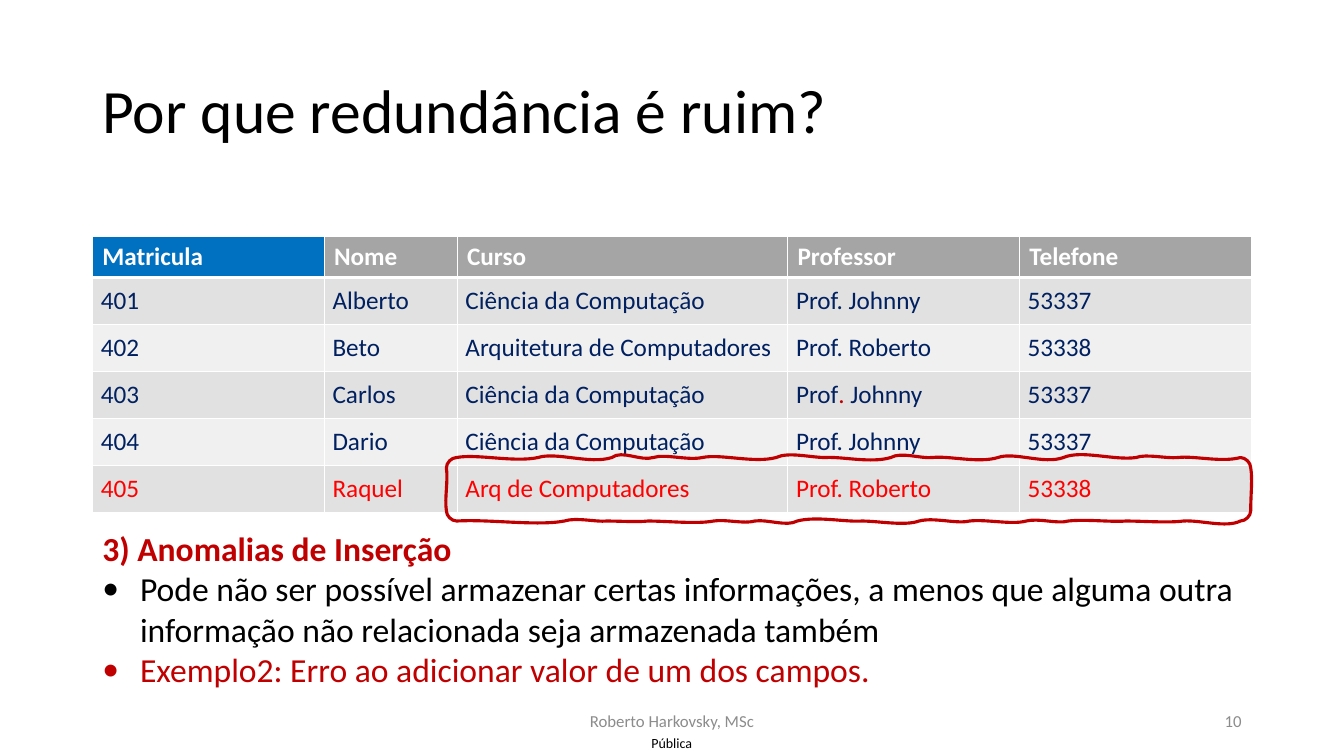
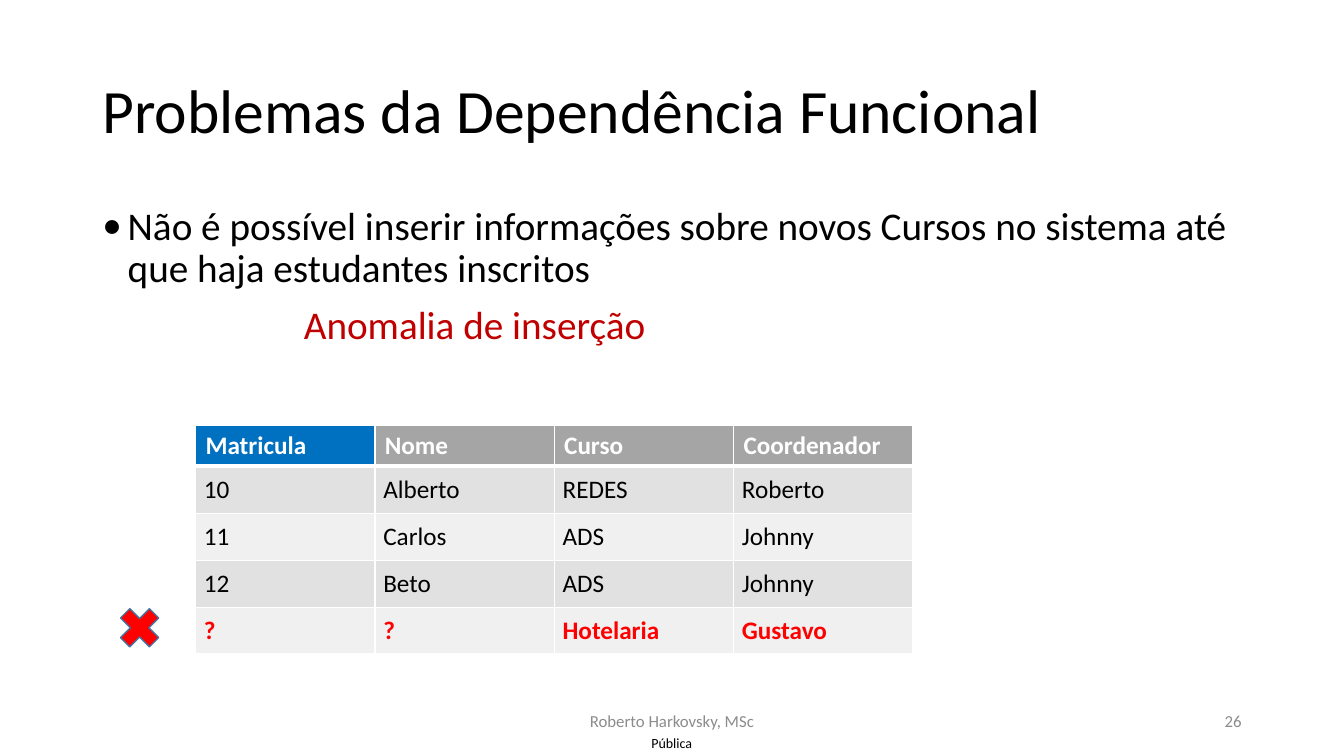
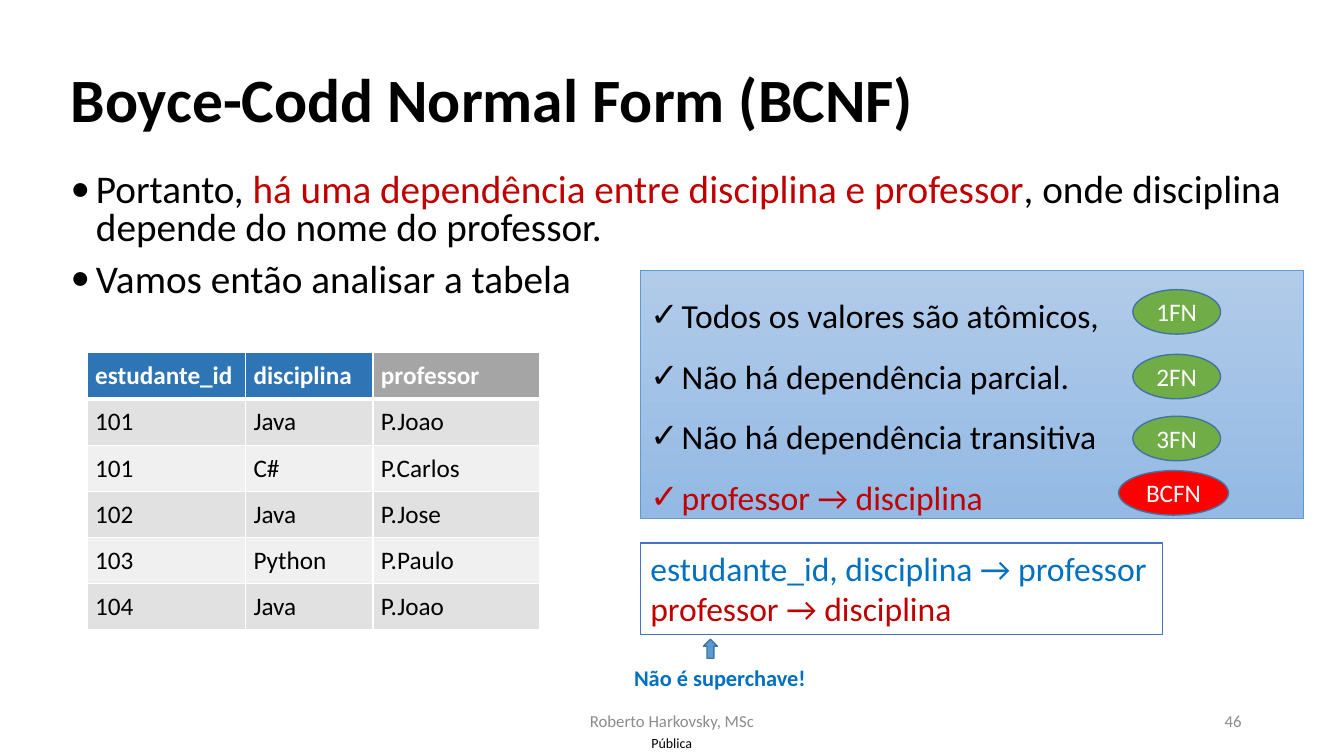
"""Three slides on redundancy, functional dependency and the Boyce-Codd normal form."""
from lxml.etree import SubElement
from pptx import Presentation
from pptx.dml.color import RGBColor
from pptx.enum.shapes import MSO_SHAPE as Preset
from pptx.enum.text import MSO_ANCHOR as Anchor, PP_ALIGN as Align
from pptx.oxml import parse_xml
from pptx.oxml.ns import nsdecls, qn
from pptx.util import Cm, Pt

FONT = "Calibri"
COLORS = {
    "black": "000000", "white": "FFFFFF", "grey": "8C8C8C", "navy": "002060",
    "crimson": "C00000", "red": "FF0000", "blue": "0070C0", "key": "2E75B6",
    "header": "A5A5A5", "odd": "E1E1E1", "even": "F0F0F0", "green": "70AD47",
    "arrow": "5B9BD5", "outline": "43739E", "frame": "4472C4",
    "sky_top": "B1CBE9", "sky_bottom": "93B9E4",
}
AUTHOR = "Roberto Harkovsky, MSc"
LABEL = "Pública"
ROW_HEIGHT = 1.03

STUDENTS = {
    "at": (2.33, 5.96), "height": 6.96, "color": "navy",
    "widths": (5.84, 3.35, 8.33, 5.84, 5.84),
    "header": ("Matricula", "Nome", "Curso", "Professor", "Telefone"),
    "keys": 1, "key_fill": "blue", "header_margins": (0.25, 0.13), "margin": 0.21,
    "rows": [
        ("401", "Alberto", "Ciência da Computação", "Prof. Johnny", "53337"),
        ("402", "Beto", "Arquitetura de Computadores", "Prof. Roberto", "53338"),
        ("403", "Carlos", "Ciência da Computação",
         [("Prof", "navy"), (". ", "crimson"), ("Johnny", "navy")], "53337"),
        ("404", "Dario", "Ciência da Computação", "Prof. Johnny", "53337"),
        ("405", "Raquel", "Arq de Computadores", "Prof. Roberto", "53338"),
    ],
    "last": ("red", False),
}
COURSES = {
    "at": (4.93, 10.72), "height": 5.77, "color": "black",
    "widths": (4.52,) * 4,
    "header": ("Matricula", "Nome", "Curso", "Coordenador"),
    "keys": 1, "key_fill": "blue", "header_margins": (0.25, 0.13), "margin": 0.21,
    "rows": [
        ("10", "Alberto", "REDES", "Roberto"),
        ("11", "Carlos", "ADS", "Johnny"),
        ("12", "Beto", "ADS", "Johnny"),
        ("?", "?", "Hotelaria", "Gustavo"),
    ],
    "last": ("red", True),
}
SUBJECTS = {
    "at": (2.2, 8.89), "height": 7.11, "color": "black",
    "widths": (3.99, 3.21, 4.2),
    "header": ("estudante_id", "disciplina", "professor"),
    "keys": 2, "key_fill": "key", "header_margins": (0.2, 0.2), "margin": 0.2,
    "rows": [
        ("101", "Java", "P.Joao"),
        ("101", "C#", "P.Carlos"),
        ("102", "Java", "P.Jose"),
        ("103", "Python", "P.Paulo"),
        ("104", "Java", "P.Joao"),
    ],
    "last": ("black", False),
}

ANOMALY = [
    {"spans": [("3) Anomalias de Inserção", "crimson")], "bold": True},
    {"spans": [("Pode não ser possível armazenar certas informações, a menos que alguma "
                "outra informação não relacionada seja armazenada também", "black")],
     "bullet": "•", "indent": 0.95},
    {"spans": [("Exemplo2: Erro ao adicionar valor de um dos campos.", "crimson")],
     "bullet": "•", "indent": 0.95},
]
INSERTION = [
    {"spans": [("Não é possível inserir informações sobre novos Cursos no sistema até "
                "que haja estudantes inscritos", "black")],
     "bullet": "•", "indent": 0.64},
    {"spans": [("Anomalia de inserção", "crimson")], "indent": 5.08},
]
DEPENDENCY = [
    {"spans": [("Portanto, ", "black"),
               ("há uma dependência entre disciplina e professor", "crimson"),
               (", onde disciplina depende do nome do professor.", "black")],
     "bullet": "•", "indent": 0.64},
    {"spans": [("Vamos então analisar a tabela", "black")], "bullet": "•", "indent": 0.64},
]
CHECKS = [
    {"spans": [(text, color)], "bullet": "✓", "indent": 0.79}
    for text, color in (
        ("Todos os valores são atômicos,", "black"),
        ("Não há dependência parcial.", "black"),
        ("Não há dependência transitiva", "black"),
        ("professor → disciplina", "crimson"),
    )
]
RULES = [
    {"spans": [("estudante_id, disciplina → professor", "blue")]},
    {"spans": [("professor → disciplina", "crimson")]},
]
BADGES = [
    ("1FN", 28.55, 7.3, 2.21, "green"),
    ("2FN", 28.55, 8.93, 2.21, "green"),
    ("3FN", 28.55, 10.49, 2.21, "green"),
    ("BCFN", 28.19, 11.86, 2.77, "red"),
]

LEFT, TOP, RIGHT, BOTTOM, CORNER = 11.25, 11.53, 31.52, 13.13, 0.26
TOP_WAVES = [
    (13.56, -0.1, 0.13), (15.42, -0.15, 0.18), (16.46, -0.2, 0.1), (17.7, -0.1, 0.08),
    (19.56, -0.1, 0.15), (20.8, -0.15, 0), (22.45, -0.03, 0.15), (23.5, -0.15, 0.03),
    (25.15, -0.05, 0.15), (26.8, -0.15, 0.18), (28.63, -0.2, 0.08),
    (29.69, -0.1, 0.03), (RIGHT - CORNER, -0.05, 0.13),
]
BOTTOM_WAVES = [
    (29.82, 0.18, -0.03), (28.37, 0.05, 0), (26.92, 0.03, -0.05), (25.86, 0.08, -0.08),
    (24.43, 0.1, -0.05), (23.16, 0.08, -0.1), (21.72, 0.13, 0), (20.09, 0.03, -0.13),
    (19.02, 0.15, -0.05), (17.98, 0.08, -0.05), (16.33, 0.08, 0), (15.29, 0.03, 0),
    (14.22, 0.03, -0.1), (LEFT + CORNER, 0.13, -0.05),
]


def rgb(name):
    return RGBColor.from_string(COLORS[name])


def write(frame, paras, size, spacing=1, before=0, align=Align.LEFT):
    for index, item in enumerate(paras):
        para = frame.paragraphs[0] if index == 0 else frame.add_paragraph()
        indent, bullet = item.get("indent", 0), item.get("bullet")
        properties = para._p.get_or_add_pPr()
        properties.set("marL", str(Cm(indent)))
        properties.set("indent", str(-Cm(indent) if bullet else 0))
        if bullet:
            SubElement(properties, qn("a:buFont")).set("typeface", FONT)
            SubElement(properties, qn("a:buChar")).set("char", bullet)
        para.alignment = align
        para.line_spacing = spacing
        para.space_before = Pt(before if index else 0)
        for text, color in item["spans"]:
            span = para.add_run()
            span.text = text
            span.font.name = FONT
            span.font.size = Pt(size)
            span.font.bold = item.get("bold", False)
            span.font.color.rgb = rgb(color)


def clear_margins(frame):
    frame.margin_left = frame.margin_right = frame.margin_top = frame.margin_bottom = 0


def add_text(page, at, paras, size, anchor=Anchor.TOP, margins=True, **style):
    frame = page.shapes.add_textbox(*map(Cm, at)).text_frame
    frame.word_wrap = True
    frame.vertical_anchor = anchor
    if not margins:
        clear_margins(frame)
    write(frame, paras, size, **style)


def add_preset(page, preset, at, fill, line, weight=1):
    shape = page.shapes.add_shape(preset, *map(Cm, at))
    shape.shadow.inherit = False
    shape.fill.solid()
    shape.fill.fore_color.rgb = rgb(fill)
    shape.line.color.rgb = rgb(line)
    shape.line.width = Pt(weight)
    return shape


def add_borders(cell, bottom):
    properties = cell._tc.get_or_add_tcPr()
    for index, (side, weight) in enumerate((("L", 1), ("R", 1), ("T", 1), ("B", bottom))):
        properties.insert(index, parse_xml(
            f'<a:ln{side} {nsdecls("a")} w="{Pt(weight)}"><a:solidFill>'
            f'<a:srgbClr val="{COLORS["white"]}"/></a:solidFill></a:ln{side}>'))


def fill_cell(cell, content, fill, color, bold, margins, bottom=1):
    cell.fill.solid()
    cell.fill.fore_color.rgb = rgb(fill)
    cell.margin_left = cell.margin_right = Cm(margins[0])
    cell.margin_top = cell.margin_bottom = Cm(margins[1])
    spans = [(content, color)] if isinstance(content, str) else content
    write(cell.text_frame, [{"spans": spans, "bold": bold}], 18)
    add_borders(cell, bottom)


def add_grid(page, data):
    rows, widths = data["rows"], data["widths"]
    size = (sum(widths), data["height"])
    holder = page.shapes.add_table(len(rows) + 1, len(widths), *map(Cm, data["at"] + size))
    table = holder.table
    for column, width in zip(table.columns, widths):
        column.width = Cm(width)
    for row in table.rows:
        row.height = Cm(ROW_HEIGHT)
    holder.height = Cm(data["height"])
    for index, name in enumerate(data["header"]):
        fill = data["key_fill"] if index < data["keys"] else "header"
        fill_cell(table.cell(0, index), name, fill, "white", True, data["header_margins"], 3)
    for number, values in enumerate(rows, 1):
        color, bold = data["last"] if number == len(rows) else (data["color"], False)
        for index, value in enumerate(values):
            fill_cell(table.cell(number, index), value, "odd" if number % 2 else "even",
                      color, bold, (data["margin"],) * 2)


def wave_curves(start, base, waves):
    for end, first, second in waves:
        step = end - start
        yield ((start + 0.25 * step, base + first), (start + 0.7 * step, base + second),
               (end, base))
        start = end


def corner_curve(start, vertex, end):
    near = [tuple((p + v) / 2 for p, v in zip(point, vertex)) for point in (start, end)]
    return *near, end


def add_sketch_frame(page):
    inner_left, inner_right = LEFT + CORNER, RIGHT - CORNER
    high, low = TOP + CORNER, BOTTOM - CORNER
    curves = [
        corner_curve((LEFT, high), (LEFT, TOP), (inner_left, TOP)),
        *wave_curves(inner_left, TOP, TOP_WAVES),
        corner_curve((inner_right, TOP), (RIGHT, TOP), (RIGHT, high)),
        ((RIGHT + 0.05, 12.07), (RIGHT, 12.45), (RIGHT, low)),
        corner_curve((RIGHT, low), (RIGHT, BOTTOM), (inner_right, BOTTOM)),
        *wave_curves(inner_right, BOTTOM, BOTTOM_WAVES),
        corner_curve((inner_left, BOTTOM), (LEFT, BOTTOM), (LEFT, low)),
        ((LEFT - 0.05, 12.55), (LEFT + 0.05, 12.12), (LEFT, high)),
    ]
    builder = page.shapes.build_freeform(Cm(LEFT), Cm(high), scale=1.0)
    builder.add_line_segments([tuple(map(Cm, curve[-1])) for curve in curves])
    outline = builder.convert_to_shape()
    for segment, curve in zip(list(outline._element.iter(qn("a:lnTo"))), curves):
        points = "".join(f'<a:pt x="{Cm(x - LEFT)}" y="{Cm(y - TOP)}"/>' for x, y in curve)
        segment.getparent().replace(segment, parse_xml(
            f'<a:cubicBezTo {nsdecls("a")}>{points}</a:cubicBezTo>'))
    outline.shadow.inherit = False
    outline.fill.background()
    outline.line.color.rgb = rgb("crimson")
    outline.line.width = Pt(2.25)


def new_page(deck, title, number, corner=(2.33, 1.02), bold=False):
    page = deck.slides.add_slide(deck.slide_layouts[6])
    add_text(page, (16.04, 18.34, 1.78, 0.74), [{"spans": [(LABEL, "black")]}], 10,
             Anchor.MIDDLE, margins=False, align=Align.CENTER)
    add_text(page, (*corner, 29.21, 3.68), [{"spans": [(title, "black")], "bold": bold}],
             44, Anchor.MIDDLE, spacing=0.9)
    for text, left, width, align in ((AUTHOR, 11.22, 11.43, Align.CENTER),
                                     (str(number), 23.92, 7.62, Align.RIGHT)):
        add_text(page, (left, 17.65, width, 1.02), [{"spans": [(text, "grey")]}], 12,
                 Anchor.MIDDLE, align=align)
    return page


def build_redundancy(deck):
    page = new_page(deck, "Por que redundância é ruim?", 10)
    add_grid(page, STUDENTS)
    add_text(page, (2.33, 13.18, 29.21, 4.37), ANOMALY, 24)
    add_sketch_frame(page)


def build_dependency(deck):
    page = new_page(deck, "Problemas da Dependência Funcional", 26)
    add_text(page, (2.33, 5.08, 29.21, 4.85), INSERTION, 28, spacing=0.9, before=10)
    add_grid(page, COURSES)
    add_preset(page, Preset.MATH_MULTIPLY, (2.82, 15.12, 1.4, 1.4), "red", "outline")


def build_normal_form(deck):
    page = new_page(deck, "Boyce-Codd Normal Form (BCNF)", 46, (1.53, 0.75), True)
    add_text(page, (1.53, 4.25, 31.39, 3.68), DEPENDENCY, 28, spacing=0.8, before=10)

    rules = add_preset(page, Preset.RECTANGLE, (16.14, 13.68, 13.16, 2.31), "white", "frame")
    rules.text_frame.vertical_anchor = Anchor.TOP
    write(rules.text_frame, RULES, 24)
    add_text(page, (15.73, 16.61, 5.41, 0.94),
             [{"spans": [("Não é superchave!", "blue")], "bold": True}], 16)
    arrow = add_preset(page, Preset.DOWN_ARROW, (17.73, 16.11, 0.35, 0.48),
                       "arrow", "outline")
    arrow._element.spPr.find(qn("a:xfrm")).set("flipV", "1")
    add_grid(page, SUBJECTS)

    panel = add_preset(page, Preset.RECTANGLE, (16.14, 6.81, 16.71, 6.25),
                       "sky_top", "arrow", 0.5)
    panel.fill.gradient()
    panel.fill.gradient_angle = 270
    for stop, color in zip(panel.fill.gradient_stops, ("sky_top", "sky_bottom")):
        stop.color.rgb = rgb(color)
    panel.text_frame.vertical_anchor = Anchor.TOP
    write(panel.text_frame, CHECKS, 24, spacing=1.5)

    for text, left, top, width, fill in BADGES:
        badge = add_preset(page, Preset.OVAL, (left, top, width, 1.12), fill, "outline")
        clear_margins(badge.text_frame)
        badge.text_frame.vertical_anchor = Anchor.MIDDLE
        write(badge.text_frame, [{"spans": [(text, "white")]}], 18, align=Align.CENTER)


def main():
    deck = Presentation()
    deck.slide_width, deck.slide_height = Cm(33.87), Cm(19.05)
    build_redundancy(deck)
    build_dependency(deck)
    build_normal_form(deck)
    deck.save("out.pptx")


if __name__ == "__main__":
    main()
